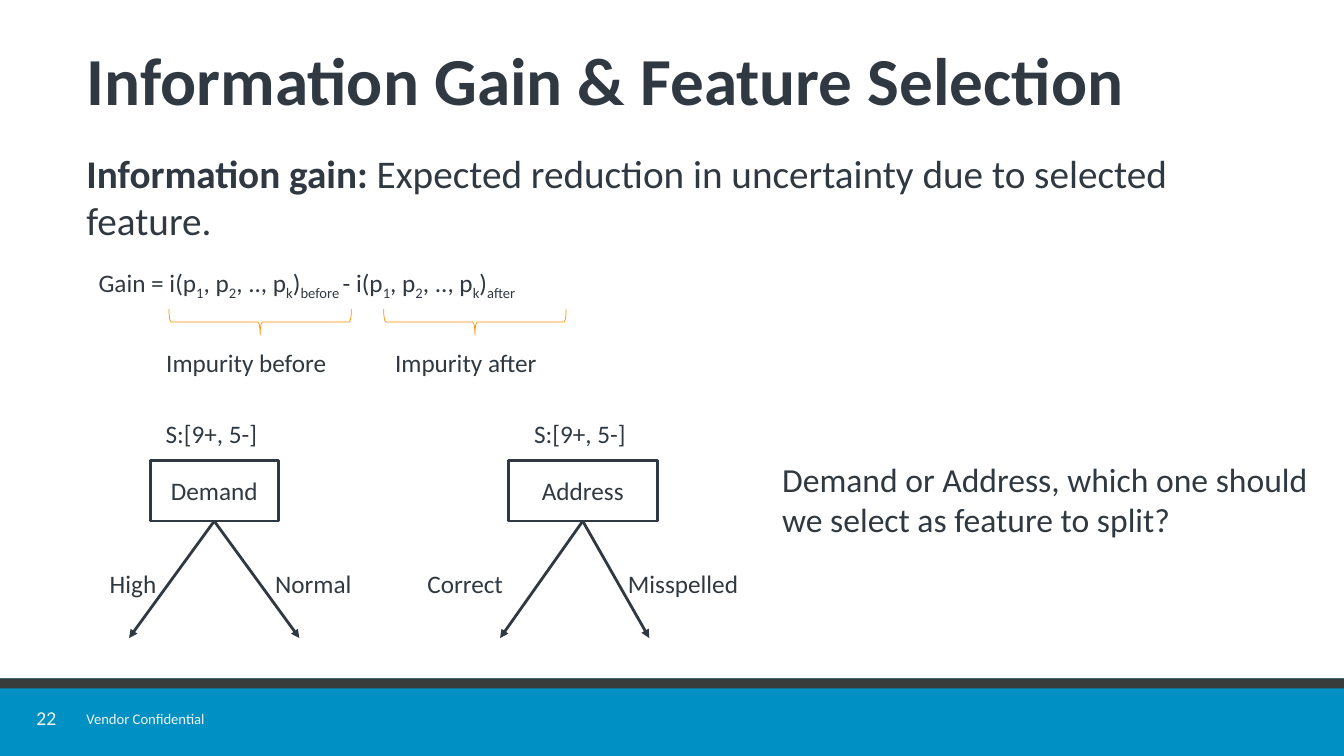
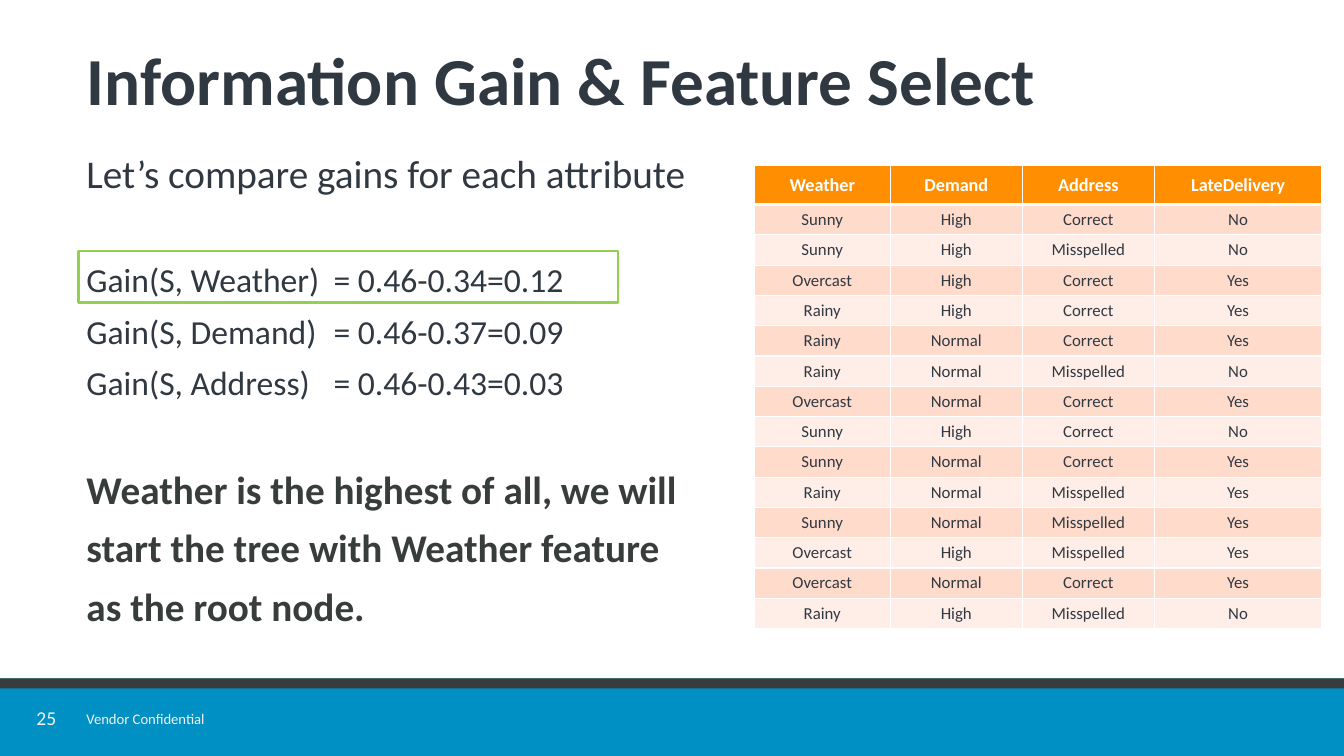
from lxml import etree
from pptx import Presentation
from pptx import util as u
from pptx.dml import color
from pptx.enum import shapes, text
from pptx.oxml import ns

FONT = "Calibri"
INK, PALE, WHITE = "303942", "F2F2F2", "FFFFFF"
BLUE, SLATE, DARK = "0090C3", "383D3B", "373D3A"
ORANGE, GREEN = "FF8E00", "92D050"
BANDS = ("FFEEE7", "FFDBCC")
COLS = (1.35, 1.31, 1.31, 1.66)
HEAD = ("Weather", "Demand", "Address", "LateDelivery")
ORDERS = (
    ("Sunny", "High", "Correct", "No"),
    ("Sunny", "High", "Misspelled", "No"),
    ("Overcast", "High", "Correct", "Yes"),
    ("Rainy", "High", "Correct", "Yes"),
    ("Rainy", "Normal", "Correct", "Yes"),
    ("Rainy", "Normal", "Misspelled", "No"),
    ("Overcast", "Normal", "Correct", "Yes"),
    ("Sunny", "High", "Correct", "No"),
    ("Sunny", "Normal", "Correct", "Yes"),
    ("Rainy", "Normal", "Misspelled", "Yes"),
    ("Sunny", "Normal", "Misspelled", "Yes"),
    ("Overcast", "High", "Misspelled", "Yes"),
    ("Overcast", "Normal", "Correct", "Yes"),
    ("Rainy", "High", "Misspelled", "No"),
)


def rgb(code):
    """Turn a hex string into a colour."""
    return color.RGBColor.from_string(code)


def inches(*sizes):
    """Turn numbers into lengths."""
    return [u.Inches(size) for size in sizes]


def node(parent, tag, **attrs):
    """Append a drawing element to a parent."""
    child = etree.SubElement(parent, ns.qn("a:" + tag))
    for name, value in attrs.items():
        child.set(name, str(value))
    return child


def style(para, size, ink=INK, bold=False):
    """Format every run of a paragraph."""
    for run in para.runs:
        run.font.name = FONT
        run.font.size = u.Pt(size)
        run.font.bold = bold
        run.font.color.rgb = rgb(ink)


def label(slide, at, words, size=18, ink=INK, wrap=True):
    """Add a text box with one paragraph."""
    frame = slide.shapes.add_textbox(*inches(*at)).text_frame
    frame.word_wrap = wrap
    frame.text = words
    style(frame.paragraphs[0], size, ink)
    return frame


def shape(slide, kind, at, fill=None, line=None, width=2):
    """Add a preset shape with an optional fill and outline."""
    item = slide.shapes.add_shape(kind, *inches(*at))
    item.shadow.inherit = False
    if fill:
        item.fill.solid()
        item.fill.fore_color.rgb = rgb(fill)
    else:
        item.fill.background()
    if line:
        item.line.color.rgb = rgb(line)
        item.line.width = u.Pt(width)
    else:
        item.line.fill.background()
    return item


def rect(slide, at, **look):
    """Add a rectangle."""
    return shape(slide, shapes.MSO_SHAPE.RECTANGLE, at, **look)


def brace(slide, at):
    """Add a brace that points down."""
    item = shape(slide, shapes.MSO_SHAPE.RIGHT_BRACE, at, line=ORANGE, width=0.5)
    item.rotation = 90


def arrow(slide, start, end):
    """Add a straight arrow."""
    item = slide.shapes.add_connector(
        shapes.MSO_CONNECTOR.STRAIGHT, *inches(*start, *end))
    item.line.color.rgb = rgb(INK)
    item.line.width = u.Pt(2)
    node(item.get_or_add_ln(), "tailEnd", type="triangle")
    node(item._element.spPr, "effectLst")


def page(deck, number, title):
    """Add a slide with its title, band and footer."""
    slide = deck.slides.add_slide(deck.slide_layouts[5])
    rect(slide, (0, 6.73, 13.33, 0.77), fill=BLUE)
    rect(slide, (0, 6.73, 13.33, 0.1), fill=SLATE)
    frame = label(slide, (0.33, 7.02, 0.26, 0.23), str(number), 14, PALE, False)
    frame.margin_left = frame.margin_right = 0
    frame.margin_top = frame.margin_bottom = 0
    frame.vertical_anchor = text.MSO_ANCHOR.MIDDLE
    frame.paragraphs[0].alignment = text.PP_ALIGN.CENTER
    frame.paragraphs[0].line_spacing = 0.9
    label(slide, (0.76, 6.99, 1.6, 0.28), "Vendor Confidential", 10.5, PALE, False)
    head = slide.shapes.title
    head.left, head.top, head.width, head.height = inches(0.76, 0.32, 12.4, 1.08)
    frame = head.text_frame
    frame.text = title
    frame.auto_size = text.MSO_AUTO_SIZE.NONE
    frame.vertical_anchor = text.MSO_ANCHOR.MIDDLE
    para = frame.paragraphs[0]
    para.alignment = text.PP_ALIGN.LEFT
    para.line_spacing = 0.8
    style(para, 48, bold=True)
    return slide


def tree(slide, left, width, name, ends, labels):
    """Draw a split: counts, feature box and two labelled branches."""
    mid = left + width / 2
    label(slide, (mid - 0.58, 4.1, 1.27, 0.4), "S:[9+, 5-]")
    frame = rect(slide, (left, 4.57, width, 0.6), line=INK).text_frame
    frame.text = name
    frame.vertical_anchor = text.MSO_ANCHOR.MIDDLE
    frame.paragraphs[0].alignment = text.PP_ALIGN.CENTER
    style(frame.paragraphs[0], 18)
    for end in ends:
        arrow(slide, (mid, 5.17), (end, 6.33))
    for words, start, span in labels:
        label(slide, (start, 5.59, span, 0.4), words)


def gain(slide):
    """Write the gain formula, with every second part as a subscript."""
    parts = ("Gain = i(p", "1", ", p", "2", ", .., p", "k", ")", "before ",
             "- i(p", "1", ", p", "2", ", .., p", "k", ")", "after")
    para = label(slide, (0.88, 2.6, 4.9, 0.4), "", wrap=False).paragraphs[0]
    for spot, part in enumerate(parts):
        run = para.add_run()
        run.text = part
        if spot % 2:
            run.font._element.set("baseline", "-25000")
    style(para, 18)


def define(deck):
    """Build the slide that defines information gain."""
    slide = page(deck, 22, "Information Gain & Feature Selection")
    frame = label(slide, (0.76, 1.43, 11.9, 1.1), "Information gain: ", 28)
    para = frame.paragraphs[0]
    para.add_run().text = "Expected reduction in uncertainty due to selected feature."
    style(para, 28)
    para.runs[0].font.bold = True
    gain(slide)
    for left, start, words in ((2.45, 1.55, "Impurity before"),
                               (4.58, 3.82, "Impurity after")):
        brace(slide, (left, 2.29, 0.26, 1.81))
        label(slide, (start, 3.4, 1.99, 0.4), words)
    tree(slide, 1.49, 1.27, "Demand", (1.28, 2.97),
         (("High", 0.99, 0.87), ("Normal", 2.63, 1.08)))
    tree(slide, 5.04, 1.48, "Address", (4.96, 6.44),
         (("Correct", 4.14, 1.08), ("Misspelled", 6.13, 1.37)))
    label(slide, (7.66, 4.5, 5.53, 0.91),
          "Demand or Address, which one should we select as feature to split?", 24)


def edge(cell, top, low):
    """Give a cell white borders."""
    props = cell._tc.get_or_add_tcPr()
    for side, width in (("L", 1), ("R", 1), ("T", top), ("B", low)):
        line = node(props, "ln" + side, w=u.Pt(width))
        node(node(line, "solidFill"), "srgbClr", val=WHITE)


def grid(slide):
    """Add the table of orders."""
    rows = (HEAD,) + ORDERS
    table = slide.shapes.add_table(
        len(rows), len(COLS), *inches(7.48, 1.64, sum(COLS), 4.59)).table
    for col, width in zip(table.columns, COLS):
        col.width = u.Inches(width)
    for r, row in enumerate(rows):
        first = r == 0
        table.rows[r].height = u.Inches(0.39 if first else 0.3)
        for c, words in enumerate(row):
            cell = table.cell(r, c)
            edge(cell, 3 if r == 1 else 1, 3 if first else 1)
            cell.fill.solid()
            cell.fill.fore_color.rgb = rgb(ORANGE if first else BANDS[r % 2])
            cell.text = words
            if first:
                cell.vertical_anchor = text.MSO_ANCHOR.MIDDLE
            para = cell.text_frame.paragraphs[0]
            para.alignment = text.PP_ALIGN.CENTER
            style(para, 13 if first else 12, WHITE if first else INK, first)


def compare(deck):
    """Build the slide that compares the gains."""
    slide = page(deck, 25, "Information Gain & Feature Select")
    frame = label(slide, (0.76, 1.43, 6.6, 5.03),
                  "Let’s compare gains for each attribute", 28)
    gains = ("Gain(S, Weather)\t= 0.46-0.34=0.12",
             "Gain(S, Demand)\t= 0.46-0.37=0.09",
             "Gain(S, Address)\t= 0.46-0.43=0.03")
    result = ("Weather is the highest of all, we will",
              "start the tree with Weather feature",
              "as the root node.")
    for lines, size, ink, bold in ((gains, 24, INK, False), (result, 28, DARK, True)):
        for spot, words in enumerate(lines):
            para = frame.add_paragraph()
            if "\t" in words:
                tabs = node(para._p.get_or_add_pPr(), "tabLst")
                node(tabs, "tab", pos=u.Inches(2.45), algn="l")
            para.text = words
            para.space_before = u.Pt(8 if spot else 45)
            style(para, size, ink, bold)
    rect(slide, (0.78, 2.49, 5.35, 0.51), line=GREEN)
    grid(slide)


def main():
    """Build and save the deck."""
    deck = Presentation()
    deck.slide_width, deck.slide_height = inches(13.33, 7.5)
    define(deck)
    compare(deck)
    deck.save("out.pptx")


if __name__ == "__main__":
    main()
